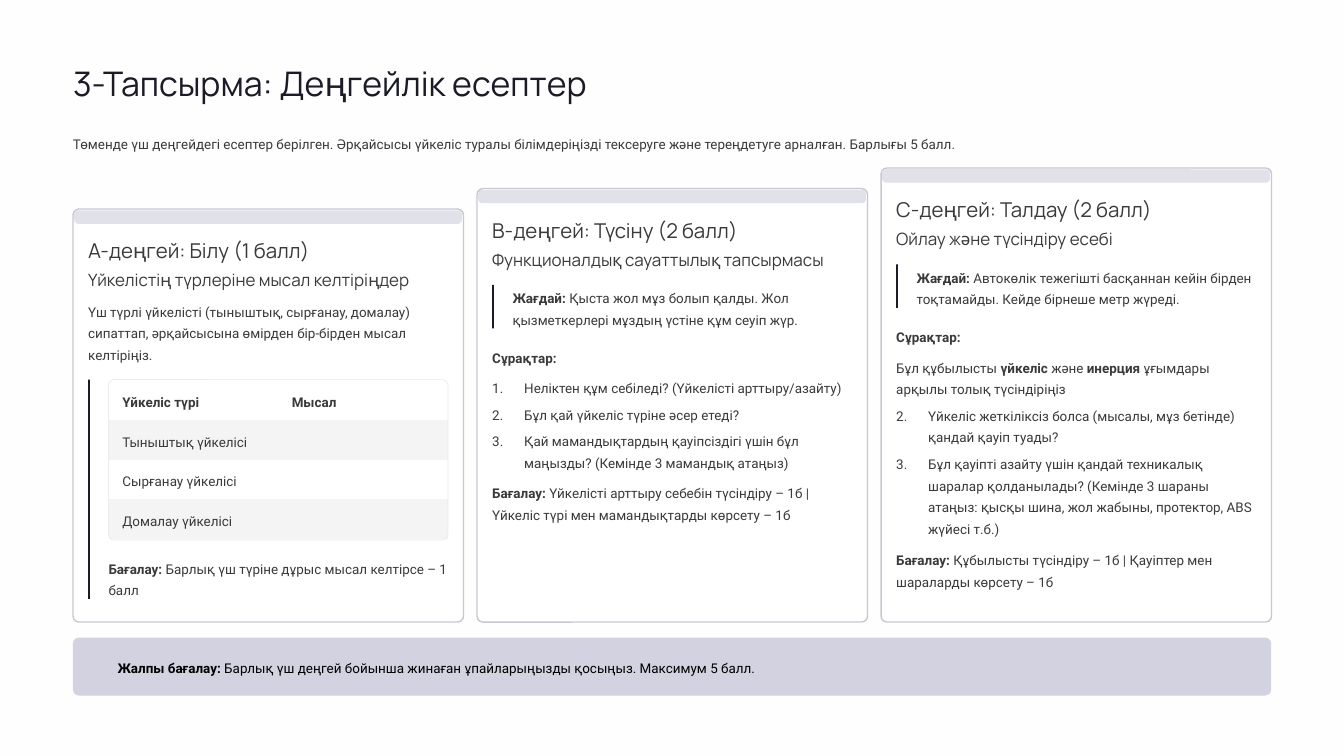
from lxml import etree
from pptx import Presentation
from pptx.dml.color import RGBColor
from pptx.enum import shapes, text
from pptx.oxml.ns import qn
from pptx.util import Pt

INK = RGBColor(0x1B, 0x1B, 0x27)
BODY = RGBColor(0x3C, 0x39, 0x39)
BLACK = RGBColor(0, 0, 0)
WHITE = RGBColor(0xFF, 0xFF, 0xFF)
PAGE = RGBColor(0xFE, 0xFE, 0xFE)
STRIP = RGBColor(0xE1, 0xE1, 0xEA)
BORDER = RGBColor(0xC7, 0xC7, 0xD0)
BANNER = RGBColor(0xD2, 0xD2, 0xE0)
ROW_BAND = RGBColor(0xF4, 0xF4, 0xF4)
TABLE_EDGE = RGBColor(0xEB, 0xEB, 0xEB)

# Text styles: font, size, line height, colour
TITLE = ("Manrope", 29, 36.5, INK)
HEADING = ("Manrope", 17.5, 21.5, BODY)
SUBHEADING = ("Manrope", 14.5, 18, BODY)
PLAIN = ("Roboto", 11.5, 18.5, BODY)
TOTAL = ("Roboto", 11.5, 18.5, BLACK)

LEFT, CARD_WIDTH, CARD_STEP, CARD_BOTTOM = 62.6, 334.7, 346.3, 533.2
PADDING, INNER_WIDTH, QUOTE_INDENT = 13, 309, 17.5
FULL_WIDTH = 1027


def write(frame, lines, style, number_from=None):
    """Fill a frame; *stars* mark bold. Lines from index number_from are numbered as shown."""
    font_name, size, line_height, color = style
    frame.word_wrap = True
    frame.auto_size = text.MSO_AUTO_SIZE.NONE
    frame.vertical_anchor = text.MSO_ANCHOR.TOP
    frame.margin_left = frame.margin_right = frame.margin_top = frame.margin_bottom = 0
    for index, line in enumerate(lines):
        paragraph = frame.paragraphs[0] if index == 0 else frame.add_paragraph()
        properties = paragraph._p.get_or_add_pPr()
        numbered = number_from is not None and index >= number_from
        properties.set("marL", str(Pt(27.4) if numbered else 0))
        properties.set("indent", str(-Pt(27.4) if numbered else 0))
        if numbered:
            bullet = etree.SubElement(properties, qn("a:buAutoNum"), type="arabicPeriod")
            bullet.set("startAt", str(number_from + 1))
        else:
            etree.SubElement(properties, qn("a:buNone"))
        paragraph.alignment = text.PP_ALIGN.LEFT
        paragraph.line_spacing = Pt(line_height)
        paragraph.space_before = Pt(4.3 if index else 0)
        paragraph.space_after = Pt(0)
        for part, words in enumerate(line.split("*")):
            if words:
                run = paragraph.add_run()
                run.text = words
                run.font.name, run.font.size = font_name, Pt(size)
                run.font.bold = part % 2 == 1
                run.font.color.rgb = color


def add_box(left, top, width, height, fill=None, radius=0, line=None, line_width=1.2):
    kind = shapes.MSO_SHAPE.ROUNDED_RECTANGLE if radius else shapes.MSO_SHAPE.RECTANGLE
    shape = slide.shapes.add_shape(kind, Pt(left), Pt(top), Pt(width), Pt(height))
    shape.shadow.inherit = False
    if radius:
        shape.adjustments[0] = radius
    if fill is None:
        shape.fill.background()
    else:
        shape.fill.solid()
        shape.fill.fore_color.rgb = fill
    if line is None:
        shape.line.fill.background()
    else:
        shape.line.color.rgb = line
        shape.line.width = Pt(line_width)


presentation = Presentation()
presentation.slide_width, presentation.slide_height = Pt(1152), Pt(648)
slide = presentation.slides.add_slide(presentation.slide_layouts[3])
slide.background.fill.solid()
slide.background.fill.fore_color.rgb = PAGE
title, *question_lists = slide.placeholders

title.left, title.top, title.width, title.height = Pt(LEFT), Pt(51.8), Pt(FULL_WIDTH), Pt(36.7)
write(title.text_frame, ["3-Тапсырма: Деңгейлік есептер"], TITLE)

# Text boxes: left, top, width, height, text, style
boxes = [
    (LEFT, 112.3, FULL_WIDTH, 18.7,
     "Төменде үш деңгейдегі есептер берілген. Әрқайсысы үйкеліс туралы білімдеріңізді "
     "тексеруге және тереңдетуге арналған. Барлығы 5 балл.", PLAIN),
    (100.8, 560.9, 977, 18.7,
     "*Жалпы бағалау:* Барлық үш деңгей бойынша жинаған ұпайларыңызды қосыңыз. "
     "Максимум 5 балл.", TOTAL),
]

# Cards
headings = [
    ("A-деңгей: Білу (1 балл)", "Үйкелістің түрлеріне мысал келтіріңдер"),
    ("B-деңгей: Түсіну (2 балл)", "Функционалдық сауаттылық тапсырмасы"),
    ("C-деңгей: Талдау (2 балл)", "Ойлау және түсіндіру есебі"),
]
for index, (heading, subheading) in enumerate(headings):
    card_left, card_top = LEFT + index * CARD_STEP, 179.2 - index * 17.6
    inner = card_left + PADDING
    add_box(card_left, card_top, CARD_WIDTH, CARD_BOTTOM - card_top, WHITE, 0.015, BORDER)
    add_box(card_left + 1, card_top + 1.1, CARD_WIDTH - 2.4, 11.5, STRIP, 0.3)
    boxes += [(inner, card_top + 24.7, INNER_WIDTH, 22.3, heading, HEADING),
              (inner, card_top + 51.4, INNER_WIDTH, 18, subheading, SUBHEADING)]

# Level A: task and table of friction types
inner = LEFT + PADDING
add_box(inner, 325.4, 1.4, 188, INK)
boxes += [
    (inner, 255.6, INNER_WIDTH, 56.2,
     "Үш түрлі үйкелісті (тыныштық, сырғанау, домалау) сипаттап, әрқайсысына өмірден "
     "бір-бірден мысал келтіріңіз.", PLAIN),
    (inner + QUOTE_INDENT, 475.9, 291, 37.4,
     "*Бағалау:* Барлық үш түріне дұрыс мысал келтірсе – 1 балл", PLAIN),
]
friction_rows = [("*Үйкеліс түрі*", "*Мысал*"), ("Тыныштық үйкелісі", ""),
                 ("Сырғанау үйкелісі", ""), ("Домалау үйкелісі", "")]
table_frame = slide.shapes.add_table(4, 2, Pt(93.4), Pt(325.8), Pt(290.4), Pt(136.4))
table = table_frame.table
table.first_row = table.horz_banding = False
NO_STYLE_NO_GRID = "{2D5ABB26-0587-4C30-8999-92F81FD0307C}"
table._tbl.tblPr.find(qn("a:tableStyleId")).text = NO_STYLE_NO_GRID
for row, values in enumerate(friction_rows):
    table.rows[row].height = Pt(34.1)
    for column, value in enumerate(values):
        cell = table.cell(row, column)
        write(cell.text_frame, [value], PLAIN)
        cell.margin_left, cell.margin_right = Pt(11.5), Pt(4)
        cell.margin_top, cell.margin_bottom = Pt(7.6), Pt(4)
        cell.fill.solid()
        cell.fill.fore_color.rgb = ROW_BAND if row % 2 else WHITE
        if not value:
            cell.text_frame.paragraphs[0].font.size = Pt(11.5)
add_box(93, 325.4, 291, 137.5, radius=0.036, line=TABLE_EDGE, line_width=0.6)

# Levels B and C: situation, questions, grading
levels = [
    ("*Жағдай:* Қыста жол мұз болып қалды. Жол қызметкерлері мұздың үстіне құм сеуіп жүр.",
     ["Неліктен құм себіледі? (Үйкелісті арттыру/азайту)",
      "Бұл қай үйкеліс түріне әсер етеді?",
      "Қай мамандықтардың қауіпсіздігі үшін бұл маңызды? (Кемінде 3 мамандық атаңыз)"],
     0, 82.8, 411.1,
     "*Бағалау:* Үйкелісті арттыру себебін түсіндіру – 1б | "
     "Үйкеліс түрі мен мамандықтарды көрсету – 1б"),
    ("*Жағдай:* Автокөлік тежегішті басқаннан кейін бірден тоқтамайды. "
     "Кейде бірнеше метр жүреді.",
     ["Бұл құбылысты *үйкеліс* және *инерция* ұғымдары арқылы толық түсіндіріңіз",
      "Үйкеліс жеткіліксіз болса (мысалы, мұз бетінде) қандай қауіп туады?",
      "Бұл қауіпті азайту үшін қандай техникалық шаралар қолданылады? (Кемінде 3 шараны "
      "атаңыз: қысқы шина, жол жабыны, протектор, ABS жүйесі т.б.)"],
     1, 158.4, 468.7,
     "*Бағалау:* Құбылысты түсіндіру – 1б | Қауіптер мен шараларды көрсету – 1б"),
]
for index, (level, questions) in enumerate(zip(levels, question_lists), start=1):
    situation, items, number_from, list_height, grading_top, grading = level
    inner, card_top = LEFT + index * CARD_STEP + PADDING, 179.2 - index * 17.6
    add_box(inner, card_top + 82.6, 1.4, 37.4, INK)
    boxes += [(inner + QUOTE_INDENT, card_top + 82.6, 291, 37.4, situation, PLAIN),
              (inner, card_top + 133.6, INNER_WIDTH, 18.7, "*Сұрақтар:*", PLAIN),
              (inner, grading_top, INNER_WIDTH, 37.4, grading, PLAIN)]
    questions.left, questions.top = Pt(inner), Pt(card_top + 159.5)
    questions.width, questions.height = Pt(INNER_WIDTH), Pt(list_height)
    write(questions.text_frame, items, PLAIN, number_from)
    slide.shapes._spTree.append(questions._element)  # bring in front of its card

add_box(LEFT, 546.5, FULL_WIDTH, 49.7, BANNER, 0.1)

for left, top, width, height, words, style in boxes:
    box = slide.shapes.add_textbox(Pt(left), Pt(top), Pt(width), Pt(height))
    write(box.text_frame, [words], style)

presentation.save("out.pptx")
